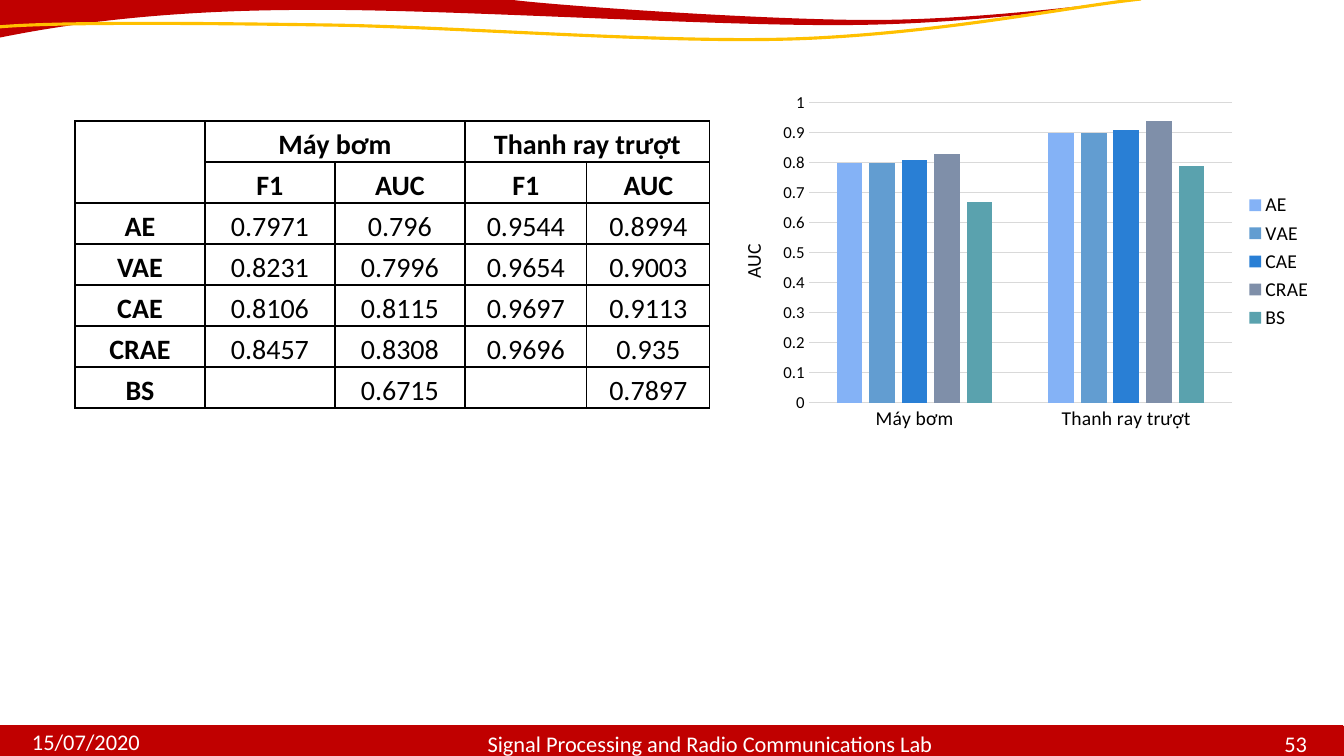
from lxml import etree
from pptx import Presentation
from pptx import util as u
from pptx.chart.data import CategoryChartData
from pptx.dml.color import RGBColor
from pptx.enum import chart as charts, shapes, text
from pptx.oxml import parse_xml
from pptx.oxml.ns import nsdecls, qn

EMU_PER_PX = 914400 / 100.8
RED, GOLD = "C00000", "FFC000"
BLACK, WHITE, GRID = "000000", "FFFFFF", "D9D9D9"

GROUPS = ["Máy bơm", "Thanh ray trượt"]
METRICS = ["F1", "AUC"]
# method: (F1, AUC) for the first group, then for the second
SCORES = {
    "AE": ["0.7971", "0.796", "0.9544", "0.8994"],
    "VAE": ["0.8231", "0.7996", "0.9654", "0.9003"],
    "CAE": ["0.8106", "0.8115", "0.9697", "0.9113"],
    "CRAE": ["0.8457", "0.8308", "0.9696", "0.935"],
    "BS": ["", "0.6715", "", "0.7897"],
}
METHOD_COLORS = ["84B2F6", "629DD1", "297FD5", "7F8FA9", "5AA2AE"]

# corners joined by straight lines, then curves of two handles and an end
RED_CORNERS = [(-1, -1), (505, -1)]
RED_CURVES = [(545, 5), (763, 20), (870, 20),
              (977, 20), (1100, 4), (1147, -2),
              (1127, 1), (998, 23), (856, 25),
              (714, 27), (437, 8), (294, 10),
              (147, 11), (52, 27), (-2, 38)]
GOLD_CORNERS = [(-2, 27)]
GOLD_CURVES = [(52, 22), (192, 23), (328, 25),
               (465, 27), (680, 45), (816, 38),
               (953, 31), (1074, 6), (1141, -1)]


def px(length):
    return u.Emu(round(length * EMU_PER_PX))


def rgb(color):
    return RGBColor.from_string(color)


def bend(outline, corner_count):
    """Turn the line segments after the corners into cubic curves, three points each."""
    segments = list(outline._element.iter(qn("a:lnTo")))[corner_count - 1:]
    for i in range(0, len(segments), 3):
        curve = etree.Element(qn("a:cubicBezTo"))
        segments[i].addprevious(curve)
        for segment in segments[i:i + 3]:
            curve.append(segment[0])
            segment.getparent().remove(segment)


def place(parent, x, y, w=None, h=None):
    """Give a chart part a fixed place, in fractions of the chart."""
    old = parent.find(qn("c:layout"))
    layout = parse_xml(f"<c:layout {nsdecls('c')}><c:manualLayout/></c:layout>")
    parts = [("xMode", "edge"), ("yMode", "edge"), ("x", x), ("y", y)]
    if w is not None:
        parts = [("layoutTarget", "inner")] + parts + [("w", w), ("h", h)]
    for tag, value in parts:
        etree.SubElement(layout[0], qn("c:" + tag)).set("val", str(value))
    if old is not None:
        parent.replace(old, layout)
    elif parent.find(qn("c:tx")) is not None:
        parent.find(qn("c:tx")).addnext(layout)
    else:
        parent.insert(0, layout)


class Deck:
    def __init__(self, font):
        self.font_name = font
        self.file = Presentation()
        self.file.slide_width, self.file.slide_height = px(1344), px(756)
        self.slide = self.file.slides.add_slide(self.file.slide_layouts[6])
        self.shapes = self.slide.shapes

    def style(self, font, size, color=BLACK, bold=False):
        font.name, font.size, font.bold = self.font_name, u.Pt(size), bold
        font.color.rgb = rgb(color)

    def add_run(self, paragraph, words, align, size, color=BLACK, bold=False):
        paragraph.alignment = align
        run = paragraph.add_run()
        run.text = words
        self.style(run.font, size, color, bold)

    def wave(self, corners, curves, fill=None, line=None):
        start, *rest = [(px(x), px(y)) for x, y in corners + curves]
        builder = self.shapes.build_freeform(*start)
        builder.add_line_segments(rest, close=fill is not None)
        outline = builder.convert_to_shape()
        bend(outline, len(corners))
        self.paint(outline, fill, line)

    def paint(self, shape, fill=None, line=None):
        shape.shadow.inherit = False
        if fill:
            shape.fill.solid()
            shape.fill.fore_color.rgb = rgb(fill)
        else:
            shape.fill.background()
        if line:
            shape.line.color.rgb = rgb(line)
            shape.line.width = u.Pt(2.25)
        else:
            shape.line.fill.background()

    def bar(self, x, y, w, h, fill):
        self.paint(self.shapes.add_shape(shapes.MSO_SHAPE.RECTANGLE,
                                         px(x), px(y), px(w), px(h)), fill)

    def rule(self, x1, y1, x2, y2, color):
        rule = self.shapes.add_connector(shapes.MSO_CONNECTOR.STRAIGHT,
                                         px(x1), px(y1), px(x2), px(y2))
        rule.line.color.rgb = rgb(color)
        rule.line.width = u.Pt(1)
        etree.SubElement(rule._element.spPr, qn("a:effectLst"))

    def label(self, x, y, w, h, words, align):
        frame = self.shapes.add_textbox(px(x), px(y), px(w), px(h)).text_frame
        frame.word_wrap = True
        frame.vertical_anchor = text.MSO_ANCHOR.BOTTOM
        frame.margin_left = frame.margin_right = frame.margin_top = frame.margin_bottom = 0
        self.add_run(frame.paragraphs[0], words, align, 16, WHITE)

    def table(self, x, y, widths, row_height, rows, merges, header_rows):
        table = self.shapes.add_table(len(rows), len(widths), px(x), px(y), px(sum(widths)),
                                      px(row_height * len(rows))).table
        table.first_row = table.horz_banding = False
        for column, width in zip(table.columns, widths):
            column.width = px(width)
        for r, row in enumerate(rows):
            table.rows[r].height = px(row_height)
            for c, words in enumerate(row):
                self.cell(table.cell(r, c), words, bold=r < header_rows or c == 0)
        for first, last in merges:
            table.cell(*first).merge(table.cell(*last))

    def cell(self, cell, words, bold):
        cell.margin_left = cell.margin_right = px(7)
        cell.margin_top = cell.margin_bottom = 0
        cell.fill.background()
        for i, side in enumerate("LRTB"):
            cell._tc.get_or_add_tcPr().insert(i, parse_xml(
                f'<a:ln{side} {nsdecls("a")} w="12700"><a:solidFill>'
                f'<a:srgbClr val="{BLACK}"/></a:solidFill></a:ln{side}>'))
        if words:
            paragraph = cell.text_frame.paragraphs[0]
            paragraph.line_spacing = 1.2
            self.add_run(paragraph, words, text.PP_ALIGN.CENTER, 20, bold=bold)

    def column_chart(self, x, y, w, h, categories, series, colors, axis_title):
        data = CategoryChartData()
        data.categories = categories
        for name, values in series.items():
            data.add_series(name, values)
        chart = self.shapes.add_chart(charts.XL_CHART_TYPE.COLUMN_CLUSTERED,
                                      px(x), px(y), px(w), px(h), data).chart
        self.style(chart.font, 10)
        chart.font.name = "TeX Gyre Pagella"
        chart.has_title = False
        chart.has_legend = True
        chart.legend.position = charts.XL_LEGEND_POSITION.RIGHT
        chart.legend.include_in_layout = False
        self.style(chart.legend.font, 14)

        plot = chart.plots[0]
        plot.vary_by_categories = False
        plot.gap_width, plot.overlap = 219, -27
        for columns, color in zip(plot.series, colors):
            columns.format.fill.solid()
            columns.format.fill.fore_color.rgb = rgb(color)

        names, scale = chart.category_axis, chart.value_axis
        for axis, size in ((names, 14), (scale, 12)):
            axis.major_tick_mark = axis.minor_tick_mark = charts.XL_TICK_MARK.NONE
            self.style(axis.tick_labels.font, size)
        scale.minimum_scale, scale.maximum_scale, scale.major_unit = 0, 1, 0.1
        scale.format.line.fill.background()
        for line in (names.format.line, scale.major_gridlines.format.line):
            line.color.rgb = rgb(GRID)
            line.width = u.Pt(0.75)
        title = scale.axis_title
        self.add_run(title.text_frame.paragraphs[0], axis_title, text.PP_ALIGN.CENTER, 14)
        place(title._element, 0.03, 0.44)
        place(chart._chartSpace.chart.plotArea, 0.15, 0.05, 0.7, 0.85)


def main():
    deck = Deck("Calibri")
    deck.wave(RED_CORNERS, RED_CURVES, fill=RED)
    deck.wave(GOLD_CORNERS, GOLD_CURVES, line=GOLD)
    deck.bar(0, 726, 1344, 31, RED)
    deck.rule(-1, 726, 1343, 726, RED)
    deck.label(32, 735, 288, 20, "15/07/2020", text.PP_ALIGN.LEFT)
    deck.label(426, 728, 568, 29, "Signal Processing and Radio Communications Lab",
               text.PP_ALIGN.CENTER)
    deck.label(1194, 737, 113, 20, "53", text.PP_ALIGN.RIGHT)

    auc = {method: [round(float(score), 2) for score in scores[1::2]]
           for method, scores in SCORES.items()}
    deck.column_chart(718, 85, 605, 353, GROUPS, auc, METHOD_COLORS, "AUC")

    rows = [["", GROUPS[0], "", GROUPS[1], ""], ["", *METRICS * 2]]
    rows += [[method, *scores] for method, scores in SCORES.items()]
    merges = [((0, 0), (1, 0)), ((0, 1), (0, 2)), ((0, 3), (0, 4))]
    deck.table(75, 121, [130, 130, 130, 122, 123], 41, rows, merges, header_rows=2)
    deck.file.save("out.pptx")


if __name__ == "__main__":
    main()
